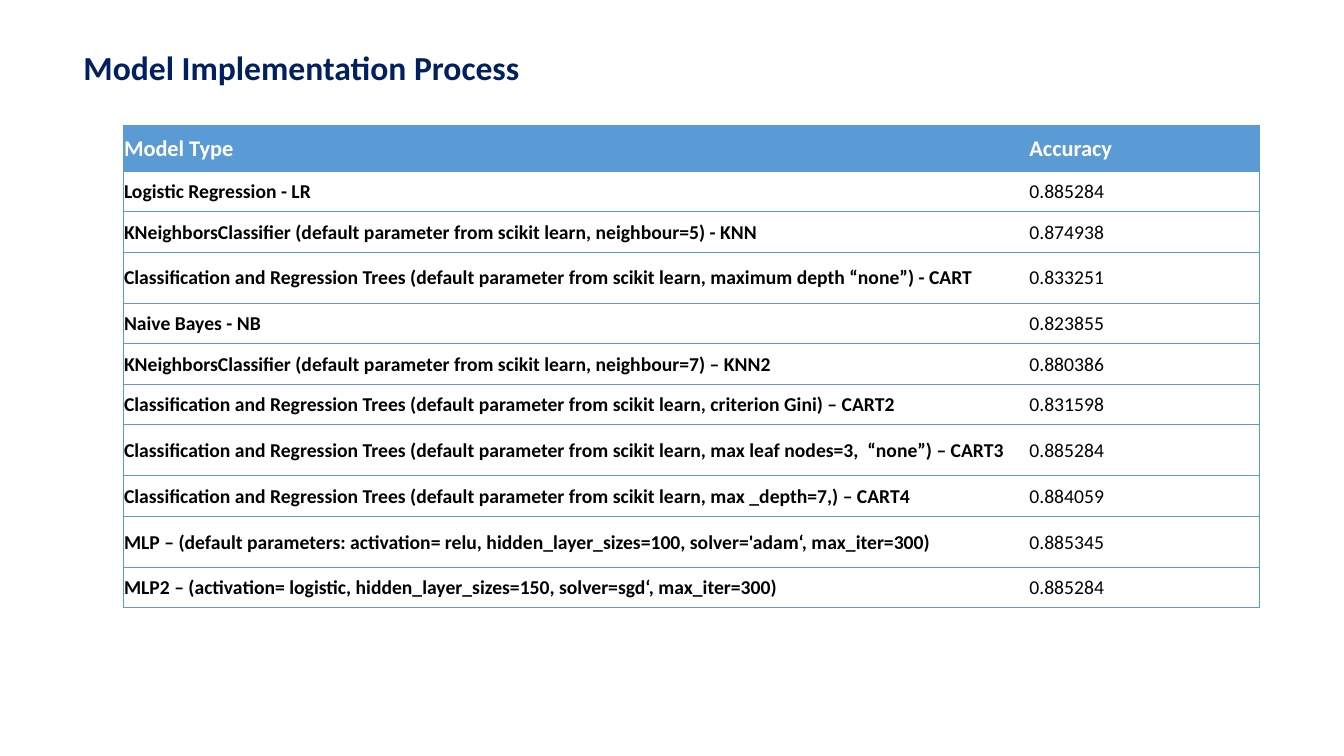
from dataclasses import dataclass

from lxml.etree import SubElement
from pptx import Presentation
from pptx.dml.color import RGBColor
from pptx.enum.text import MSO_ANCHOR, PP_ALIGN
from pptx.oxml.ns import qn
from pptx.util import Emu, Pt

EMU_PER_PX = 9144


@dataclass(frozen=True)
class Theme:
    font: str = "Calibri"
    navy: str = "002060"
    blue: str = "5B9BD5"
    white: str = "FFFFFF"
    black: str = "000000"
    title_size: int = 24
    header_size: int = 16
    body_size: int = 14
    border: float = 0.5


def px(n):
    return Emu(n * EMU_PER_PX)


class Deck:
    def __init__(self, prs, theme):
        self.theme = theme
        self.s = prs.slides.add_slide(prs.slide_layouts[6])

    def style(self, p, size, color, bold):
        for r in p.runs:
            r.font.name = self.theme.font
            r.font.size = Pt(size)
            r.font.bold = bold
            r.font.color.rgb = RGBColor.from_string(color)

    def title(self, text, x, y, w, h):
        tf = self.s.shapes.add_textbox(px(x), px(y), px(w), px(h)).text_frame
        tf.word_wrap = True
        tf.text = text
        self.style(tf.paragraphs[0], self.theme.title_size, self.theme.navy, True)

    def borders(self, cell, visible):
        tcPr = cell._tc.get_or_add_tcPr()
        for side in "LRTB":
            ln = SubElement(tcPr, qn(f"a:ln{side}"), w=str(Pt(self.theme.border)))
            if side in visible:
                fill = SubElement(ln, qn("a:solidFill"))
                SubElement(fill, qn("a:srgbClr"), val=self.theme.blue)
            else:
                SubElement(ln, qn("a:noFill"))

    def cell(self, cell, text, header, first):
        t = self.theme
        cell.margin_left = cell.margin_right = cell.margin_top = px(1)
        cell.margin_bottom = 0
        cell.vertical_anchor = MSO_ANCHOR.MIDDLE
        self.borders(cell, "LTB" if first else "RTB")
        if header:
            cell.fill.solid()
            cell.fill.fore_color.rgb = RGBColor.from_string(t.blue)
        else:
            cell.fill.background()
        cell.text_frame.text = text
        p = cell.text_frame.paragraphs[0]
        p.alignment = PP_ALIGN.JUSTIFY
        if header:
            self.style(p, t.header_size, t.white, True)
        else:
            self.style(p, t.body_size, t.black, first)

    def table(self, rows, x, y, widths, heights):
        frame = self.s.shapes.add_table(
            len(rows), len(widths), px(x), px(y), px(sum(widths)), px(sum(heights)))
        tbl = frame.table
        tbl.horz_banding = False
        for col, w in zip(tbl.columns, widths):
            col.width = px(w)
        for i, (row, h) in enumerate(zip(rows, heights)):
            tbl.rows[i].height = px(h)
            for j, text in enumerate(row):
                self.cell(tbl.cell(i, j), text, i == 0, j == 0)


TREES = "Classification and Regression Trees (default parameter from scikit learn, "
NEIGHBORS = "KNeighborsClassifier (default parameter from scikit learn, "
ROWS = [
    ("Model Type", "Accuracy "),
    ("Logistic Regression - LR", "0.885284"),
    (NEIGHBORS + "neighbour=5) - KNN", "0.874938"),
    (TREES + "maximum depth “none”) - CART", "0.833251"),
    ("Naive Bayes - NB", "0.823855"),
    (NEIGHBORS + "neighbour=7) – KNN2", "0.880386"),
    (TREES + "criterion Gini) – CART2", "0.831598"),
    (TREES + "max leaf nodes=3,  “none”) – CART3", "0.885284"),
    (TREES + "max _depth=7,) – CART4", "0.884059"),
    ("MLP – (default parameters: activation= relu, hidden_layer_sizes=100, "
     "solver='adam‘, max_iter=300)", "0.885345"),
    ("MLP2 – (activation= logistic, hidden_layer_sizes=150, "
     "solver=sgd‘, max_iter=300)", "0.885284"),
]
HEADER_HEIGHT, ROW_HEIGHT, TALL_HEIGHT = 46, 40, 51
TALL_ROWS = (3, 7, 9)


def main():
    prs = Presentation()
    prs.slide_width, prs.slide_height = px(1333), px(750)
    deck = Deck(prs, Theme())
    heights = [HEADER_HEIGHT] + [
        TALL_HEIGHT if i in TALL_ROWS else ROW_HEIGHT for i in range(1, len(ROWS))]
    deck.table(ROWS, 122, 124, (898, 229), heights)
    deck.title("Model Implementation Process", 73, 42, 640, 50)
    prs.save("out.pptx")


if __name__ == "__main__":
    main()
